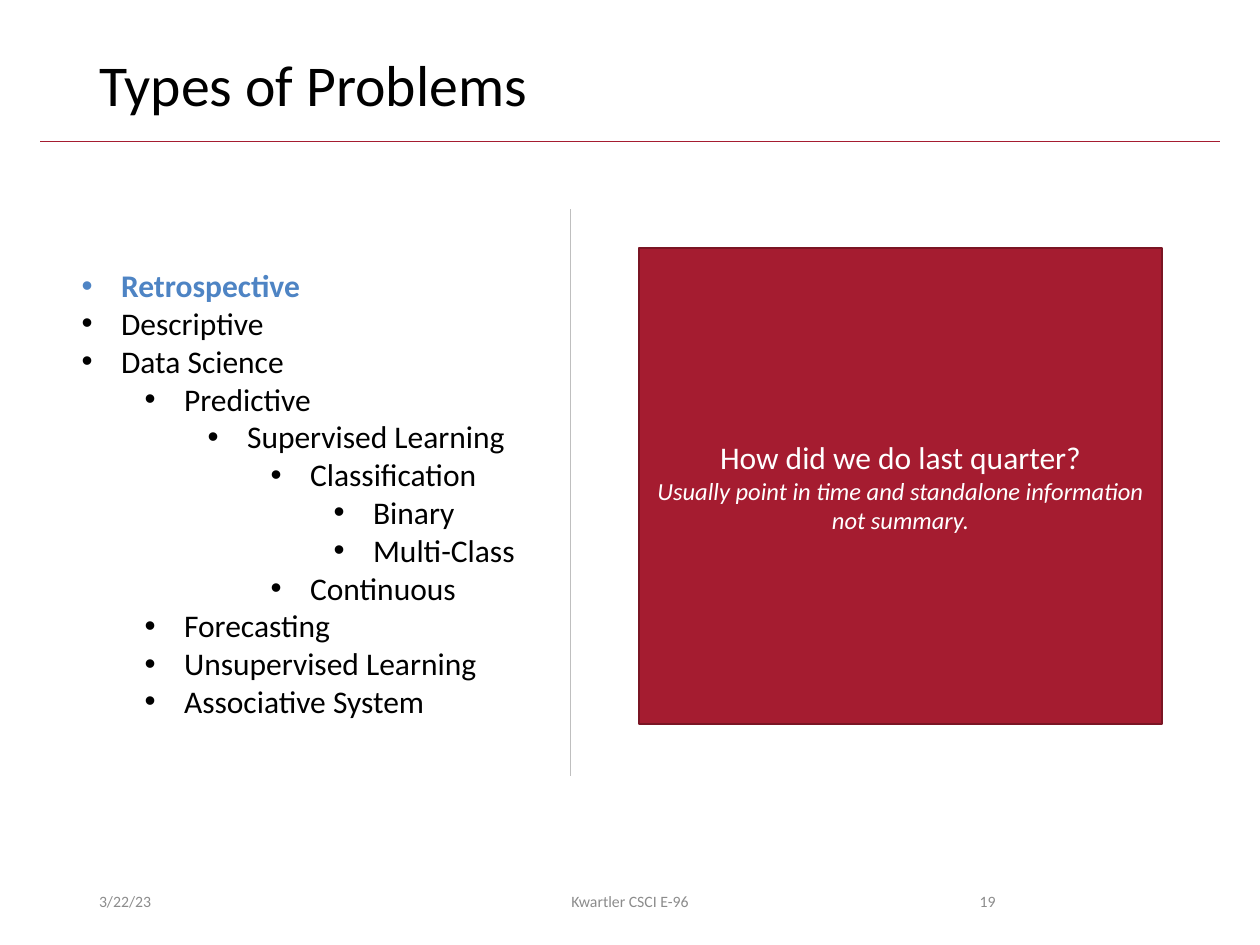
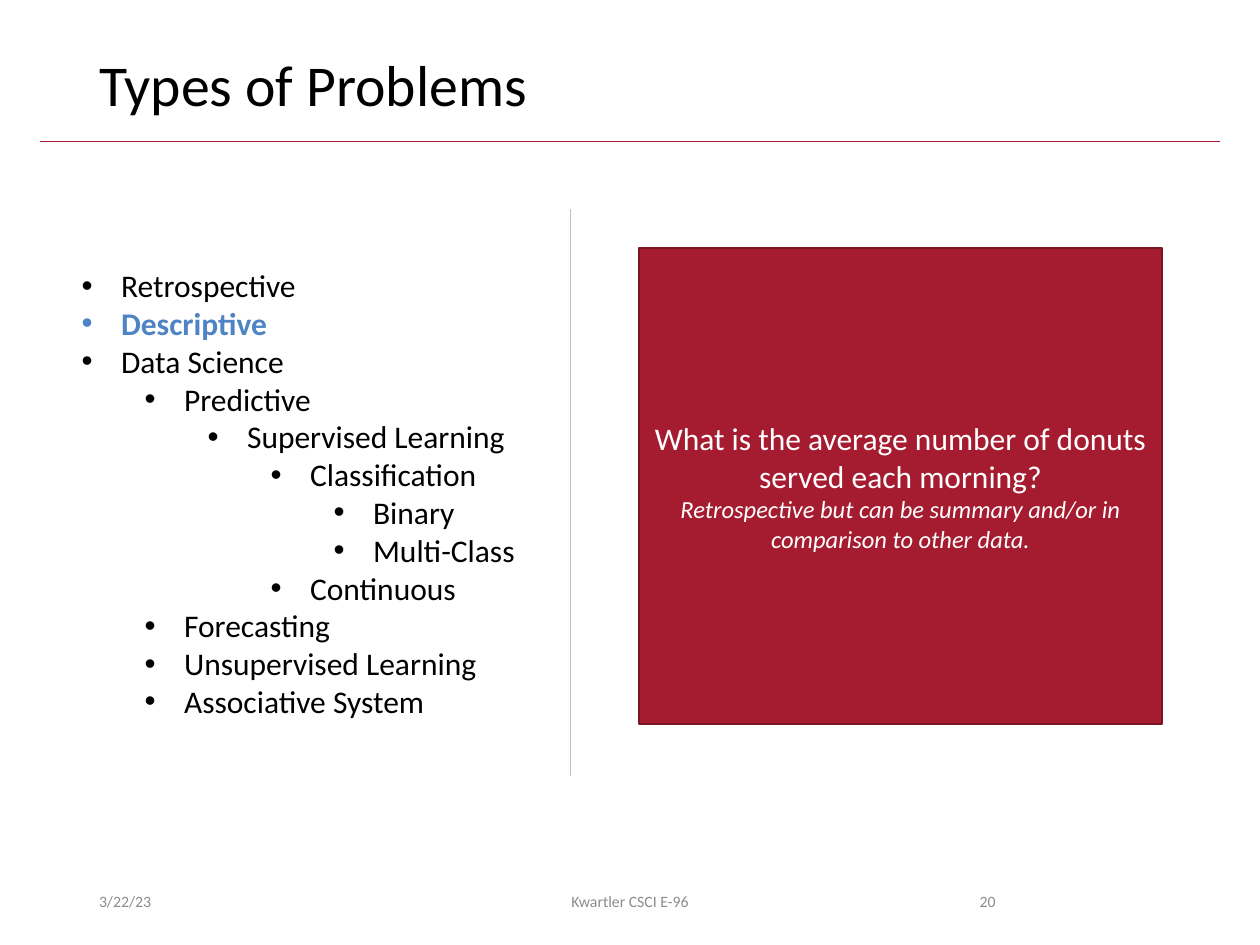
from pptx import Presentation
from pptx.dml.color import RGBColor
from pptx.enum.shapes import MSO_CONNECTOR as Connector, MSO_SHAPE as Shape
from pptx.enum.text import MSO_ANCHOR as Anchor, MSO_AUTO_SIZE as AutoSize, PP_ALIGN as Align
from pptx.oxml.ns import qn
from pptx.util import Pt
from lxml.etree import SubElement

# Content
TITLE = "Types of Problems"
PROBLEM_TYPES = [  # level, name
    (0, "Retrospective"),
    (0, "Descriptive"),
    (0, "Data Science"),
    (1, "Predictive"),
    (2, "Supervised Learning"),
    (3, "Classification"),
    (4, "Binary"),
    (4, "Multi-Class"),
    (3, "Continuous"),
    (1, "Forecasting"),
    (1, "Unsupervised Learning"),
    (1, "Associative System"),
]
SLIDES = [  # number, highlighted type, question, remark
    ("19", "Retrospective", "How did we do last quarter?",
     "Usually point in time and standalone information not summary."),
    ("20", "Descriptive", "What is the average number of donuts served each morning?",
     "Retrospective but can be summary and/or in comparison to other data."),
]
DATE, COURSE = "3/22/23", "Kwartler CSCI E-96"

# Shared look
FONT = "Calibri"
CRIMSON = RGBColor(0xA5, 0x1C, 0x30)
DARK_CRIMSON = RGBColor(0x7A, 0x15, 0x24)
BLUE = RGBColor(0x4E, 0x84, 0xC4)
BLACK = RGBColor(0, 0, 0)
WHITE = RGBColor(0xFF, 0xFF, 0xFF)
GRAY = RGBColor(0x8C, 0x8C, 0x8C)
LIGHT_GRAY = RGBColor(0xBF, 0xBF, 0xBF)

# Places in points: left, top, width, height
TITLE_AT = (49.5, 28.75, 621, 47)
LIST_AT = (39.5, 148.5, 264, 291)
CARD_AT = (365.25, 141.75, 298.75, 272)
FOOTER_TOP, FOOTER_HEIGHT = 500.5, 28.75
HANGING, LEVEL_STEP = 22.5, 36


def place(shape, at):
    shape.left, shape.top, shape.width, shape.height = map(Pt, at)


def add_span(para, text, size, color, bold=False, italic=False):
    span = para.add_run()
    span.text = text
    font = span.font
    font.name, font.size, font.bold, font.italic = FONT, Pt(size), bold, italic
    font.color.rgb = color


def add_line(page, start, end, color):
    line = page.shapes.add_connector(Connector.STRAIGHT, *map(Pt, start + end))
    line.line.color.rgb = color
    line.line.width = Pt(0.5)
    SubElement(line._element.spPr, qn("a:effectLst"))


def add_bullet(para, level):
    para.level = level
    para.space_before = para.space_after = Pt(0)
    props = para._p.get_or_add_pPr()
    props.set("marL", str(Pt(HANGING + level * LEVEL_STEP)))
    props.set("indent", str(-Pt(HANGING)))
    SubElement(props, qn("a:buFont"), typeface="Arial")
    SubElement(props, qn("a:buChar"), char="•")


def add_frame(page, number):
    # Title and the rule below it
    title = page.shapes.title
    place(title, TITLE_AT)
    frame = title.text_frame
    frame.auto_size, frame.vertical_anchor = AutoSize.NONE, Anchor.TOP
    para = frame.paragraphs[0]
    para.alignment, para.line_spacing = Align.LEFT, 0.9
    add_span(para, TITLE, 33, BLACK)
    add_line(page, (23, 80.75), (697, 80.75), CRIMSON)

    # Footer
    for text, left, width, align in ((DATE, 49.5, 162, Align.LEFT),
                                     (COURSE, 238.5, 243, Align.CENTER),
                                     (number, 508.5, 67.5, Align.RIGHT)):
        box = page.shapes.add_textbox(*map(Pt, (left, FOOTER_TOP, width, FOOTER_HEIGHT)))
        box.text_frame.word_wrap = True
        box.text_frame.vertical_anchor = Anchor.MIDDLE
        para = box.text_frame.paragraphs[0]
        para.alignment = align
        add_span(para, text, 9, GRAY)


def add_type_list(page, highlighted):
    body = page.placeholders[1]
    place(body, LIST_AT)
    frame = body.text_frame
    frame.auto_size, frame.vertical_anchor = AutoSize.NONE, Anchor.TOP
    for index, (level, name) in enumerate(PROBLEM_TYPES):
        para = frame.add_paragraph() if index else frame.paragraphs[0]
        add_bullet(para, level)
        active = name == highlighted
        add_span(para, name, 18, BLUE if active else BLACK, bold=active)


def add_card(page, question, remark):
    card = page.shapes.add_shape(Shape.RECTANGLE, *map(Pt, CARD_AT))
    card.shadow.inherit = False
    card.fill.solid()
    card.fill.fore_color.rgb = CRIMSON
    card.line.color.rgb = DARK_CRIMSON
    card.line.width = Pt(1)
    frame = card.text_frame
    frame.word_wrap, frame.vertical_anchor = True, Anchor.MIDDLE
    first, second = frame.paragraphs[0], frame.add_paragraph()
    first.alignment = second.alignment = Align.CENTER
    add_span(first, question, 18, WHITE)
    add_span(second, remark, 14, WHITE, italic=True)


def main():
    deck = Presentation()
    deck.slide_width, deck.slide_height = Pt(720), Pt(540)
    for number, highlighted, question, remark in SLIDES:
        page = deck.slides.add_slide(deck.slide_layouts[1])
        add_frame(page, number)
        add_card(page, question, remark)
        add_type_list(page, highlighted)
        add_line(page, (326, 119.5), (326, 443.5), LIGHT_GRAY)
    deck.save("out.pptx")


if __name__ == "__main__":
    main()
